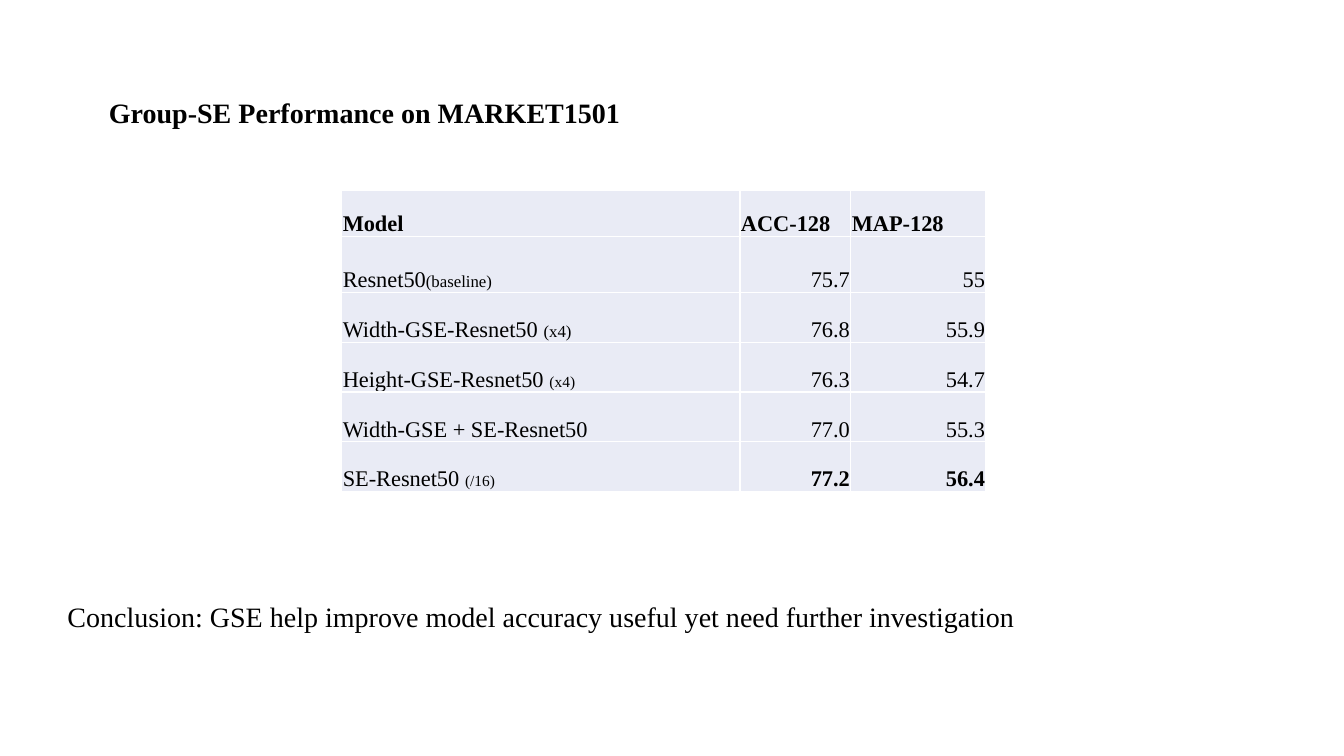
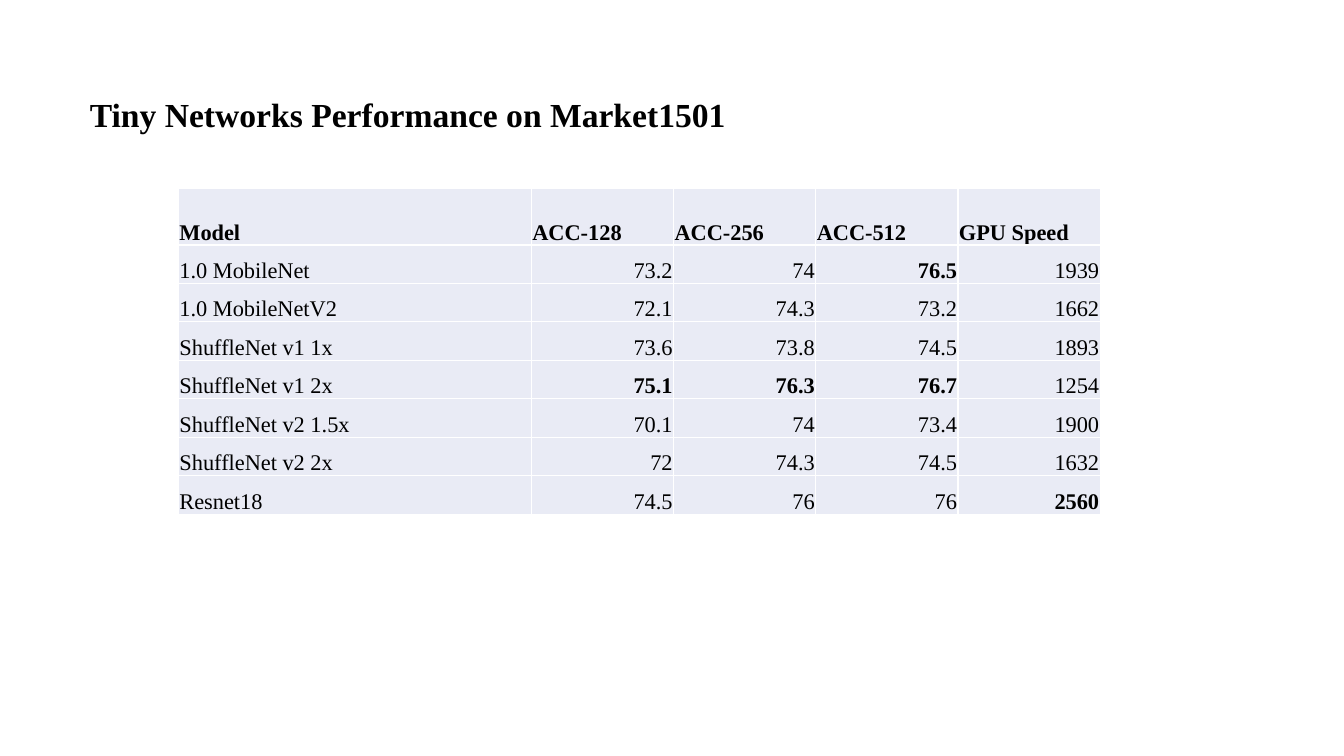
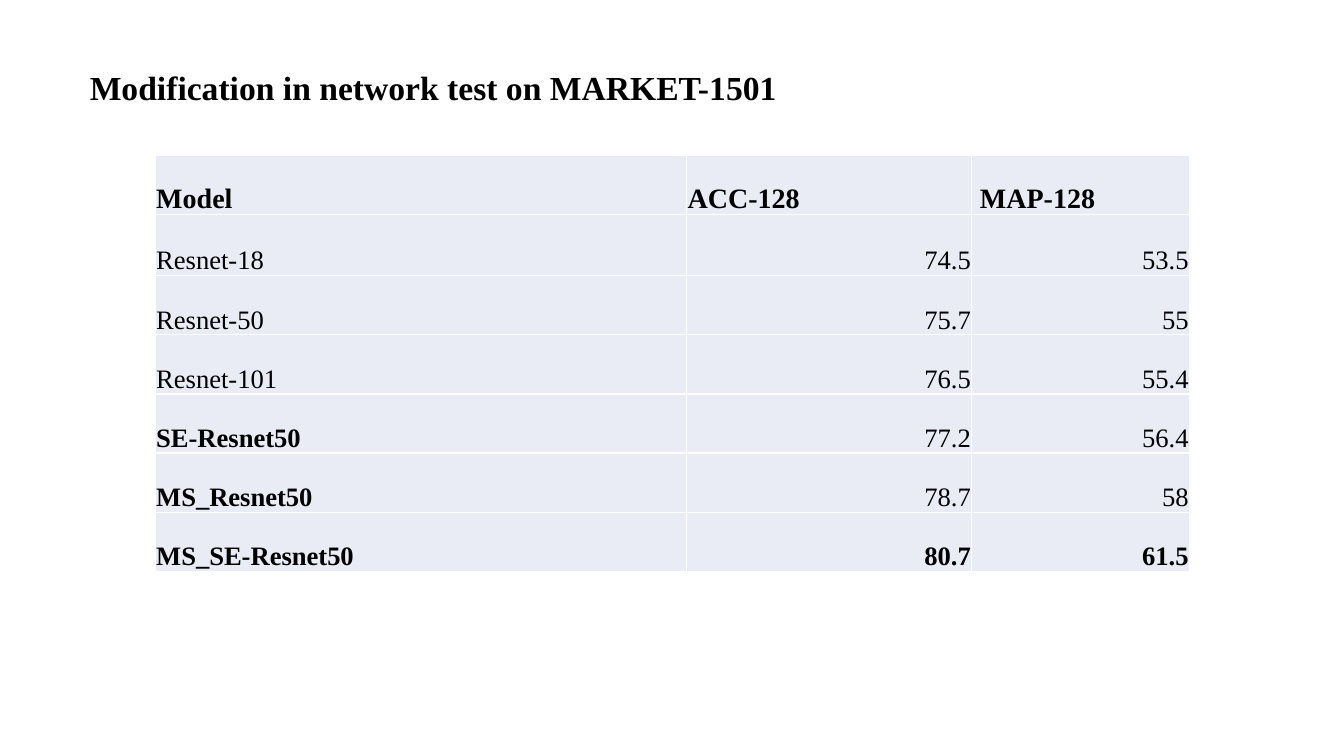
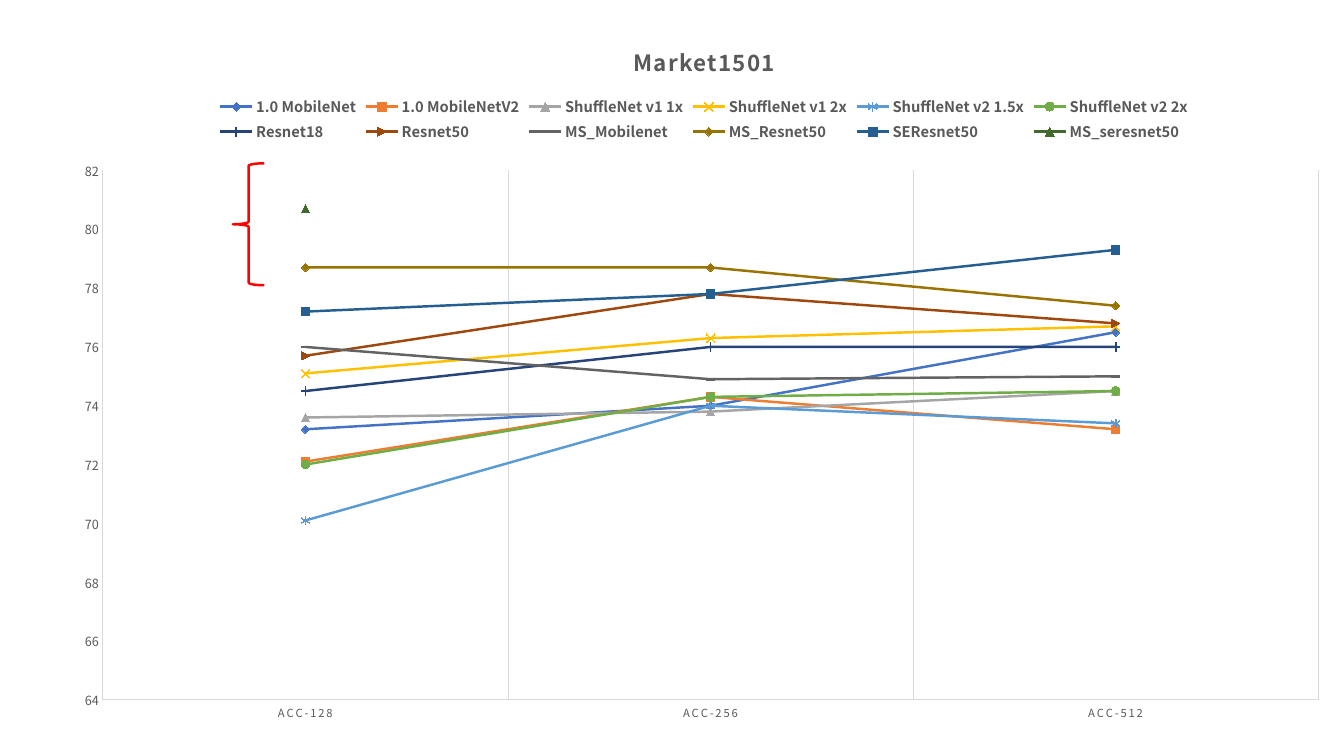
"""Build four slides comparing person re-identification networks."""
from dataclasses import dataclass
from typing import Optional

from lxml import etree
from pptx import Presentation
from pptx import slide as sl
from pptx import util as u
from pptx.chart import data as cd
from pptx.dml import color as col
from pptx.enum import chart as ch, shapes, text
from pptx.oxml import ns

WIDTH, HEIGHT = u.Inches(13.33), u.Inches(7.5)
SERIF, SANS = "Times New Roman", "Noto Sans CJK SC"
BLACK, WHITE, CELL, GREY, RULE, RED = (
    "000000", "FFFFFF", "E9EBF5", "595959", "D9D9D9", "FF0000")
TITLE_ONLY, BLANK = 5, 6
MARK = ch.XL_MARKER_STYLE


@dataclass(frozen=True)
class Box:
    """A frame in percent of the slide's width and height."""
    left: float
    top: float
    width: float
    height: float

    def emu(self) -> tuple:
        """Return left, top, width and height as lengths."""
        return (across(self.left), down(self.top),
                across(self.width), down(self.height))


@dataclass(frozen=True)
class Run:
    """A stretch of text, with its own size or weight if given."""
    words: str
    size: Optional[float] = None
    bold: Optional[bool] = None


@dataclass(frozen=True)
class Grid:
    """A results table with column and row shares in percent."""
    left: float
    top: float
    cols: tuple
    rows: tuple
    head: float
    body: float
    cells: tuple


@dataclass(frozen=True)
class Page:
    """A titled table slide."""
    title: str
    size: float
    box: Box
    grid: Grid


@dataclass(frozen=True)
class Line:
    """One series of the line chart."""
    name: str
    values: tuple
    color: str
    marker: MARK


def across(share: float) -> int:
    """Turn a percentage of the slide's width into a length."""
    return u.Emu(round(WIDTH * share / 100))


def down(share: float) -> int:
    """Turn a percentage of the slide's height into a length."""
    return u.Emu(round(HEIGHT * share / 100))


def rgb(value: str) -> col.RGBColor:
    """Turn a hex string into a colour."""
    return col.RGBColor.from_string(value)


def style(font, size: float, color: str, bold: bool, name: str) -> None:
    """Format a font."""
    font.size, font.bold, font.name = u.Pt(size), bold, name
    font.color.rgb = rgb(color)


def stroke(line, color: str, width: float) -> None:
    """Format a line."""
    line.color.rgb, line.width = rgb(color), u.Pt(width)


def add_run(p, run: Run, size: float, bold: bool) -> None:
    """Add a run, falling back on the given size and weight."""
    r = p.add_run()
    r.text = run.words
    style(r.font, run.size or size, BLACK,
          bold if run.bold is None else run.bold, SERIF)


def fill_frame(sp, words: str, size: float, bold: bool) -> None:
    """Write one left-aligned line into a shape."""
    tf = sp.text_frame
    tf.word_wrap = True
    tf.auto_size = text.MSO_AUTO_SIZE.SHAPE_TO_FIT_TEXT
    tf.vertical_anchor = text.MSO_ANCHOR.TOP
    p = tf.paragraphs[0]
    p.alignment = text.PP_ALIGN.LEFT
    add_run(p, Run(words), size, bold)


def add_title(s: sl.Slide, page: Page) -> None:
    """Place and write the slide's title."""
    sp = s.shapes.title
    sp.left, sp.top, sp.width, sp.height = page.box.emu()
    fill_frame(sp, page.title, page.size, True)


def add_borders(cell) -> None:
    """Draw white lines around a cell."""
    tc_pr = cell._tc.get_or_add_tcPr()
    for side in ("a:lnL", "a:lnR", "a:lnT", "a:lnB"):
        ln = etree.SubElement(tc_pr, ns.qn(side), w=str(u.Pt(1)))
        fill = etree.SubElement(ln, ns.qn("a:solidFill"))
        etree.SubElement(fill, ns.qn("a:srgbClr"), val=WHITE)


def add_grid(s: sl.Slide, grid: Grid) -> None:
    """Draw a results table."""
    box = Box(grid.left, grid.top, sum(grid.cols), sum(grid.rows))
    table = s.shapes.add_table(
        len(grid.rows), len(grid.cols), *box.emu()).table
    table.first_row = table.horz_banding = False
    for column, share in zip(table.columns, grid.cols):
        column.width = across(share)
    for i, (row, share, values) in enumerate(
            zip(table.rows, grid.rows, grid.cells)):
        row.height = down(share)
        for j, (cell, value) in enumerate(zip(row.cells, values)):
            add_borders(cell)
            cell.fill.solid()
            cell.fill.fore_color.rgb = rgb(CELL)
            cell.vertical_anchor = text.MSO_ANCHOR.BOTTOM
            cell.margin_left = cell.margin_right = u.Inches(0.01)
            cell.margin_top, cell.margin_bottom = u.Inches(0.01), 0
            p = cell.text_frame.paragraphs[0]
            if i and j:
                p.alignment = text.PP_ALIGN.RIGHT
            for run in value if isinstance(value, tuple) else (value,):
                run = Run(run) if isinstance(run, str) else run
                add_run(p, run, grid.body if i else grid.head, i == 0)


def strong(*words: str) -> tuple:
    """Make bold cells."""
    return tuple(Run(word, bold=True) for word in words)


def add_space(font, points: float) -> None:
    """Widen the gaps between letters."""
    font._element.set("spc", str(round(points * 100)))


def place_plot(chart, **shares: float) -> None:
    """Fix the inner plot area by shares of the chart."""
    area = chart._chartSpace.chart.plotArea
    for old in area.findall(ns.qn("c:layout")):
        area.remove(old)
    layout = etree.Element(ns.qn("c:layout"))
    area.insert(0, layout)
    manual = etree.SubElement(layout, ns.qn("c:manualLayout"))
    parts = {"layoutTarget": "inner", "xMode": "edge", "yMode": "edge"}
    for tag, value in {**parts, **shares}.items():
        etree.SubElement(manual, ns.qn("c:" + tag), val=str(value))


def add_lines(s: sl.Slide, box: Box, cats: tuple, lines: tuple) -> None:
    """Draw the accuracy chart."""
    data = cd.CategoryChartData()
    data.categories = cats
    for line in lines:
        data.add_series(line.name, line.values)
    chart = s.shapes.add_chart(
        ch.XL_CHART_TYPE.LINE_MARKERS, *box.emu(), data).chart
    style(chart.font, 10, BLACK, False, SANS)

    chart.has_title = True
    r = chart.chart_title.text_frame.paragraphs[0].add_run()
    r.text = "Market1501"
    style(r.font, 16, GREY, True, SANS)
    add_space(r.font, 1)

    chart.has_legend = True
    chart.legend.position = ch.XL_LEGEND_POSITION.TOP
    chart.legend.include_in_layout = False
    style(chart.legend.font, 10.5, GREY, True, SANS)

    for axis, size in ((chart.category_axis, 8), (chart.value_axis, 9)):
        axis.major_tick_mark = axis.minor_tick_mark = ch.XL_TICK_MARK.NONE
        style(axis.tick_labels.font, size, GREY, False, SANS)
        stroke(axis.format.line, RULE, 0.75)
    add_space(chart.category_axis.tick_labels.font, 1.2)
    chart.category_axis.has_major_gridlines = True
    stroke(chart.category_axis.major_gridlines.format.line, RULE, 0.75)
    axis = chart.value_axis
    axis.has_major_gridlines = False
    axis.minimum_scale, axis.maximum_scale, axis.major_unit = 64, 82, 2
    axis.tick_labels.number_format = "General"
    axis.tick_labels.number_format_is_linked = False

    plot = chart.plots[0]
    plot.vary_by_categories = False
    for series, line in zip(plot.series, lines):
        series.smooth = False
        stroke(series.format.line, line.color, 1.75)
        marker = series.marker
        marker.style, marker.size = line.marker, 6
        stroke(marker.format.line, line.color, 0.75)
        if line.marker in (MARK.X, MARK.STAR, MARK.PLUS):
            marker.format.fill.background()
        else:
            marker.format.fill.solid()
            marker.format.fill.fore_color.rgb = rgb(line.color)
    place_plot(chart, x=0.03, y=0.21, w=0.95, h=0.74)


def add_brace(s: sl.Slide, box: Box) -> None:
    """Draw the red brace beside the best results."""
    sp = s.shapes.add_shape(shapes.MSO_SHAPE.LEFT_BRACE, *box.emu())
    sp.shadow.inherit = False
    sp.fill.background()
    stroke(sp.line, RED, 1.75)


PAGES = (
    Page("Group-SE Performance on MARKET1501", 20,
         Box(7.35, 12, 46.14, 5.87),
         Grid(25.43, 25.2, (29.63, 8.25, 10.05),
              (6.13, 7.33) + (6.6,) * 4, 16, 16, (
             ("Model", "ACC-128", "MAP-128"),
             (("Resnet50", Run("(baseline)", 12)), "75.7", "55"),
             (("Width-GSE-Resnet50 ", Run("(x4)", 12)), "76.8", "55.9"),
             (("Height-GSE-Resnet50 ", Run("(x4)", 11)), "76.3", "54.7"),
             ("Width-GSE + SE-Resnet50", "77.0", "55.3"),
             (("SE-Resnet50 ", Run("(/16)", 11)), *strong("77.2", "56.4"))))),
    Page("Tiny Networks Performance on Market1501", 24,
         Box(5.93, 11.73, 51.31, 6.67),
         Grid(13.28, 24.93, (26.26,) + (10.58,) * 4,
              (7.47,) + (5.09,) * 7, 16, 16, (
             ("Model", "ACC-128", "ACC-256", "ACC-512", "GPU Speed"),
             ("1.0 MobileNet", "73.2", "74", *strong("76.5"), "1939"),
             ("1.0 MobileNetV2", "72.1", "74.3", "73.2", "1662"),
             ("ShuffleNet v1 1x", "73.6", "73.8", "74.5", "1893"),
             ("ShuffleNet v1 2x", *strong("75.1", "76.3", "76.7"), "1254"),
             ("ShuffleNet v2 1.5x", "70.1", "74", "73.4", "1900"),
             ("ShuffleNet v2 2x", "72", "74.3", "74.5", "1632"),
             ("Resnet18", "74.5", "76", "76", *strong("2560"))))),
    Page("Modification in network test on MARKET-1501", 24,
         Box(5.93, 8.13, 58.96, 6.67),
         Grid(11.55, 20.53, (39.53, 21.23, 16.2),
              (7.8, 8.13) + (7.83,) * 5, 20, 19, (
             ("Model", "ACC-128", " MAP-128"),
             ("Resnet-18", "74.5", "53.5"),
             ("Resnet-50", "75.7", "55"),
             ("Resnet-101", "76.5", "55.4"),
             (*strong("SE-Resnet50"), "77.2", "56.4"),
             (*strong("MS_Resnet50"), "78.7", "58"),
             strong("MS_SE-Resnet50", "80.7", "61.5")))),
)

LINES = (
    Line("1.0 MobileNet", (73.2, 74, 76.5), "4472C4", MARK.DIAMOND),
    Line("1.0 MobileNetV2", (72.1, 74.3, 73.2), "ED7D31", MARK.SQUARE),
    Line("ShuffleNet v1 1x", (73.6, 73.8, 74.5), "A5A5A5", MARK.TRIANGLE),
    Line("ShuffleNet v1 2x", (75.1, 76.3, 76.7), "FFC000", MARK.X),
    Line("ShuffleNet v2 1.5x", (70.1, 74, 73.4), "5B9BD5", MARK.STAR),
    Line("ShuffleNet v2 2x", (72, 74.3, 74.5), "70AD47", MARK.CIRCLE),
    Line("Resnet18", (74.5, 76, 76), "264478", MARK.PLUS),
    Line("Resnet50", (75.7, 77.8, 76.8), "9E480E", MARK.DOT),
    Line("MS_Mobilenet", (76, 74.9, 75), "636363", MARK.DASH),
    Line("MS_Resnet50", (78.7, 78.7, 77.4), "997300", MARK.DIAMOND),
    Line("SEResnet50", (77.2, 77.8, 79.3), "255E91", MARK.SQUARE),
    Line("MS_seresnet50", (80.7, None, None), "43682B", MARK.TRIANGLE),
)


def main() -> None:
    """Build and save the slides."""
    prs = Presentation()
    prs.slide_width, prs.slide_height = WIDTH, HEIGHT
    for page in PAGES:
        s = prs.slides.add_slide(prs.slide_layouts[TITLE_ONLY])
        add_title(s, page)
        add_grid(s, page.grid)

    sp = prs.slides[0].shapes.add_textbox(*Box(4.28, 78.67, 76.37, 5.87).emu())
    fill_frame(sp, "Conclusion: GSE help improve model accuracy useful yet "
               "need further investigation", 20, False)

    s = prs.slides.add_slide(prs.slide_layouts[BLANK])
    add_lines(s, Box(4.8, 2.67, 95.2, 94.67),
              ("ACC-128", "ACC-256", "ACC-512"), LINES)
    add_brace(s, Box(17.33, 21.6, 2.33, 16.13))
    prs.save("out.pptx")


if __name__ == "__main__":
    main()
